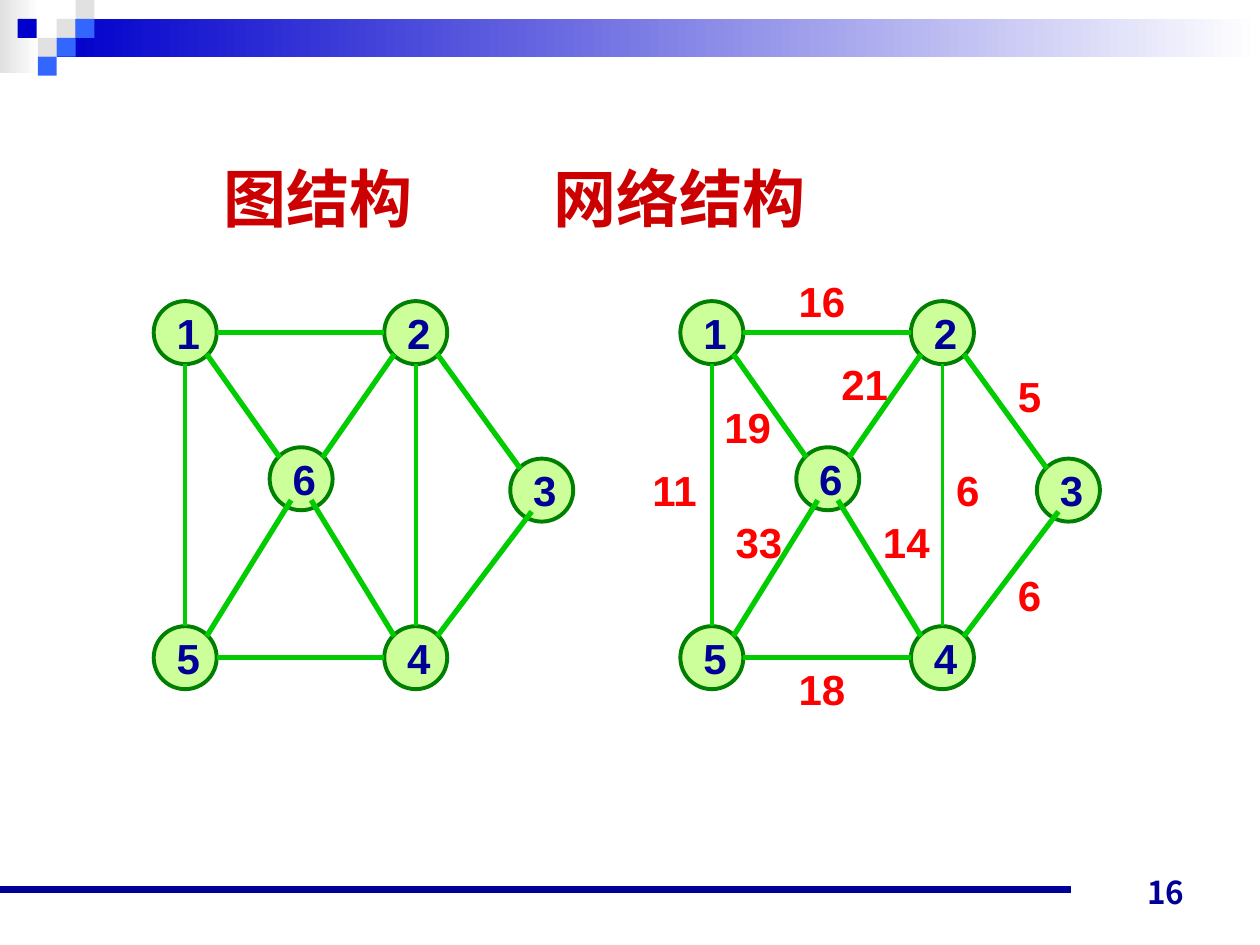
from dataclasses import dataclass

from lxml.etree import SubElement
from pptx import Presentation
from pptx.dml.color import RGBColor
from pptx.enum.shapes import MSO_CONNECTOR, MSO_SHAPE
from pptx.enum.text import MSO_ANCHOR as Anchor, PP_ALIGN as Align
from pptx.oxml.ns import qn
from pptx.util import Inches, Pt

Point = tuple[float, float]


@dataclass(frozen=True)
class Theme:
    title: str = "CC0000"
    label: str = "000099"
    weight: str = "FF0000"
    edge: str = "00CC00"
    node_fill: str = "CCFF99"
    node_line: str = "008000"
    grey: str = "E1E1E1"
    navy: str = "0000CC"
    blue: str = "3366FF"
    white: str = "FFFFFF"
    latin: str = "Arial"
    chinese: str = "Noto Sans CJK SC"
    number: str = "Noto Sans CJK JP"
    title_size: float = 36
    label_size: float = 24
    number_size: float = 18
    edge_width: float = 3
    thin_width: float = 2.25
    rule_width: float = 4.5


@dataclass(frozen=True)
class Edge:
    start: str
    end: str
    leave: Point
    arrive: Point
    weight: str
    weight_at: Point
    width: float


@dataclass(frozen=True)
class Block:
    left: float
    top: float
    color: str


THEME = Theme()
NODE = 0.5
R = NODE / 2
D = 0.17
H = 0.08
BLOCK = 0.15
NODES: dict[str, Point] = {
    "1": (0.25, 0.25), "2": (2.08, 0.25), "3": (3.08, 1.5),
    "4": (2.08, 2.83), "5": (0.25, 2.83), "6": (1.17, 1.41),
}
WIDE, THIN = THEME.edge_width, THEME.thin_width
EDGES = [
    Edge("1", "2", (R, 0), (-R, 0), "16", (0.84, -0.25), WIDE),
    Edge("2", "3", (D, D), (-D, -D), "5", (2.58, 0.5), WIDE),
    Edge("3", "4", (-H, D), (D, -D), "6", (2.58, 2.08), WIDE),
    Edge("5", "4", (R, 0), (-R, 0), "18", (0.84, 2.83), WIDE),
    Edge("1", "5", (0, R), (0, -R), "11", (-0.32, 1.25), THIN),
    Edge("2", "4", (0, R), (0, -R), "6", (2.09, 1.25), THIN),
    Edge("1", "6", (D, D), (-D, -D), "19", (0.25, 0.75), WIDE),
    Edge("2", "6", (-D, D), (D, -D), "21", (1.18, 0.41), WIDE),
    Edge("6", "5", (-H, D), (D, -D), "33", (0.34, 1.66), WIDE),
    Edge("6", "4", (H, D), (-D, -D), "14", (1.51, 1.66), WIDE),
]
BLOCKS = [
    Block(0.45, 0.15, THEME.grey), Block(0.6, 0, THEME.grey),
    Block(0.6, 0.15, THEME.blue), Block(0.3, 0.3, THEME.grey),
    Block(0.14, 0.15, THEME.navy), Block(0.45, 0.3, THEME.blue),
    Block(0.3, 0.45, THEME.blue),
]


def rgb(color: str) -> RGBColor:
    return RGBColor.from_string(color)


def style_text(paragraph, font_name: str, size: float, color: str) -> None:
    for run in paragraph.runs:
        run.font.name = font_name
        run.font.size = Pt(size)
        run.font.bold = True
        run.font.color.rgb = rgb(color)
        east_asian = SubElement(run.font._element, qn("a:ea"))
        east_asian.set("typeface", font_name)


def draw_rect(slide, left: float, top: float, width: float, height: float):
    rect = slide.shapes.add_shape(
        MSO_SHAPE.RECTANGLE, Inches(left), Inches(top), Inches(width), Inches(height))
    rect.shadow.inherit = False
    rect.line.fill.background()
    return rect


def draw_band(slide, left: float, top: float, width: float, height: float, color: str) -> None:
    fill = draw_rect(slide, left, top, width, height).fill
    fill.gradient()
    fill.gradient_angle = 0
    for stop, stop_color in zip(fill.gradient_stops, (color, THEME.white)):
        stop.color.rgb = rgb(stop_color)


def draw_block(slide, block: Block) -> None:
    fill = draw_rect(slide, block.left, block.top, BLOCK, BLOCK).fill
    fill.solid()
    fill.fore_color.rgb = rgb(block.color)


def draw_line(slide, start: Point, end: Point, color: str, width: float) -> None:
    line = slide.shapes.add_connector(
        MSO_CONNECTOR.STRAIGHT, *(Inches(value) for value in (*start, *end)))
    line.line.color.rgb = rgb(color)
    line.line.width = Pt(width)
    SubElement(line._element.spPr, qn("a:effectLst"))


def draw_node(slide, label: str, center: Point) -> None:
    node = slide.shapes.add_shape(
        MSO_SHAPE.OVAL, Inches(center[0] - R), Inches(center[1] - R), Inches(NODE), Inches(NODE))
    node.shadow.inherit = False
    node.fill.solid()
    node.fill.fore_color.rgb = rgb(THEME.node_fill)
    node.line.color.rgb = rgb(THEME.node_line)
    node.line.width = Pt(THEME.thin_width)
    frame = node.text_frame
    frame.text = label
    frame.word_wrap = False
    frame.vertical_anchor = Anchor.MIDDLE
    frame.margin_left = Inches(0.05)
    frame.margin_right = frame.margin_top = frame.margin_bottom = 0
    frame.paragraphs[0].alignment = Align.CENTER
    style_text(frame.paragraphs[0], THEME.latin, THEME.label_size, THEME.label)


def draw_weight(slide, weight: str, corner: Point) -> None:
    width = 0.57 if len(weight) == 2 else 0.39
    box = slide.shapes.add_textbox(
        Inches(corner[0]), Inches(corner[1]), Inches(width), Inches(0.5))
    box.text_frame.text = weight
    box.text_frame.word_wrap = False
    style_text(box.text_frame.paragraphs[0], THEME.latin, THEME.label_size, THEME.weight)


def draw_graph(slide, origin: Point, weighted: bool) -> None:
    def place(*offsets: Point) -> Point:
        xs, ys = zip(origin, *offsets)
        return sum(xs), sum(ys)

    for label, center in NODES.items():
        draw_node(slide, label, place(center))
    for edge in EDGES:
        draw_line(slide, place(NODES[edge.start], edge.leave),
                  place(NODES[edge.end], edge.arrive), THEME.edge, edge.width)
    if weighted:
        for edge in EDGES:
            draw_weight(slide, edge.weight, place(edge.weight_at))


def draw_title(slide) -> None:
    title = slide.shapes.title
    title.left, title.top = Inches(1.65), Inches(1.21)
    title.width, title.height = Inches(6.28), Inches(0.73)
    frame = title.text_frame
    frame.text = "图结构\t网络结构"
    frame.word_wrap = False
    frame.vertical_anchor = Anchor.TOP
    frame.margin_left = frame.margin_right = Inches(0.12)
    frame.margin_top = frame.margin_bottom = Inches(0.06)
    heading = frame.paragraphs[0]
    heading.alignment = Align.LEFT
    tabs = SubElement(heading._p.get_or_add_pPr(), qn("a:tabLst"))
    SubElement(tabs, qn("a:tab"), pos=str(Inches(2.62)), algn="l")
    style_text(heading, THEME.chinese, THEME.title_size, THEME.title)


def draw_page_number(slide) -> None:
    box = slide.shapes.add_textbox(Inches(7.17), Inches(6.78), Inches(2.33), Inches(0.5))
    frame = box.text_frame
    frame.text = "16"
    frame.word_wrap = True
    frame.vertical_anchor = Anchor.BOTTOM
    frame.paragraphs[0].alignment = Align.RIGHT
    style_text(frame.paragraphs[0], THEME.number, THEME.number_size, THEME.label)


def main() -> None:
    deck = Presentation()
    deck.slide_width, deck.slide_height = Inches(10), Inches(7.5)
    slide = deck.slides.add_slide(deck.slide_layouts[5])
    draw_band(slide, 0, 0, 0.31, 0.58, THEME.grey)
    draw_band(slide, 0.45, 0.15, 9.55, 0.3, THEME.navy)
    for block in BLOCKS:
        draw_block(slide, block)
    draw_line(slide, (0, 7.06), (8.5, 7.06), THEME.label, THEME.rule_width)
    draw_page_number(slide)
    draw_title(slide)
    draw_graph(slide, (5.4, 2.39), weighted=True)
    draw_graph(slide, (1.22, 2.39), weighted=False)
    deck.save("out.pptx")


if __name__ == "__main__":
    main()
